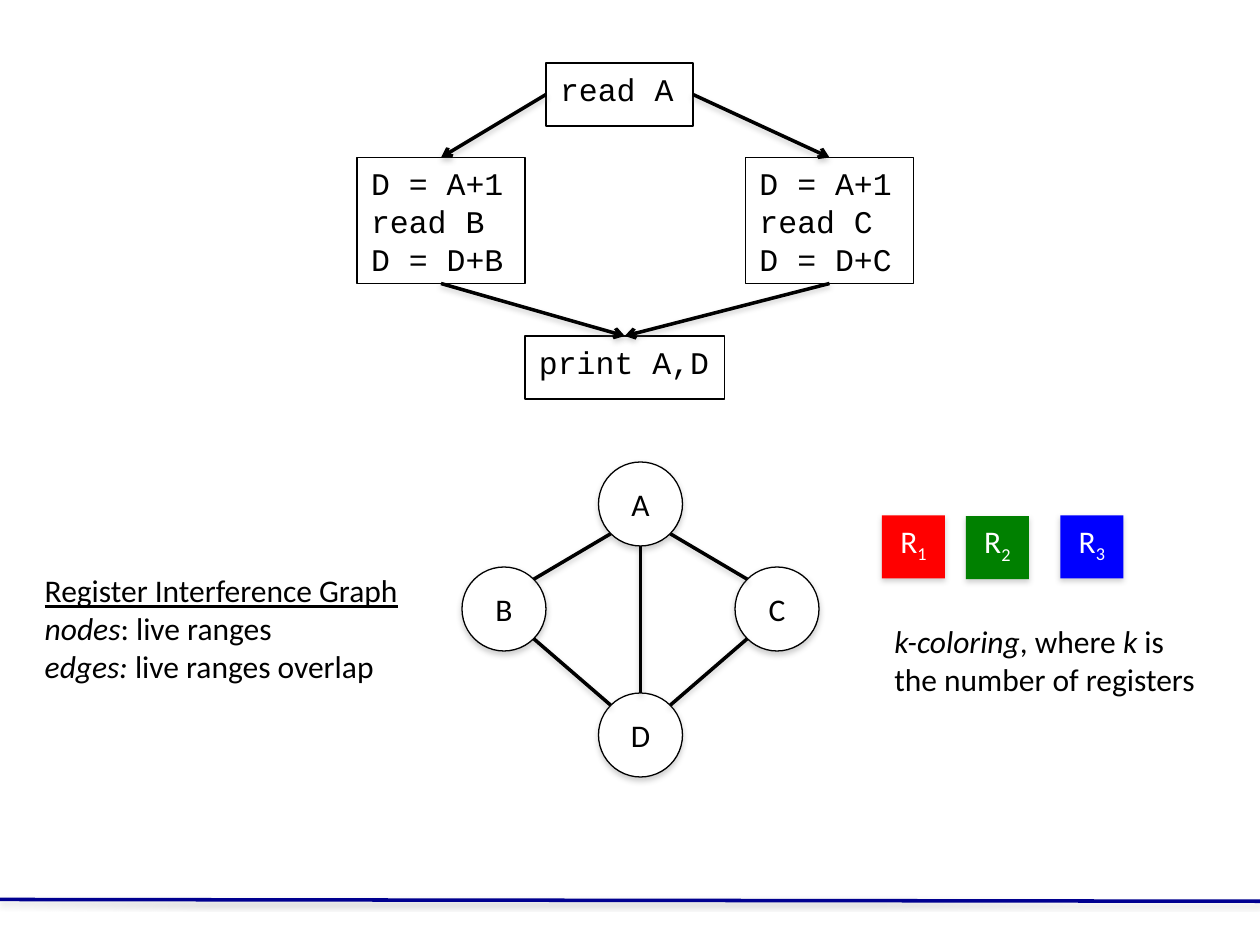
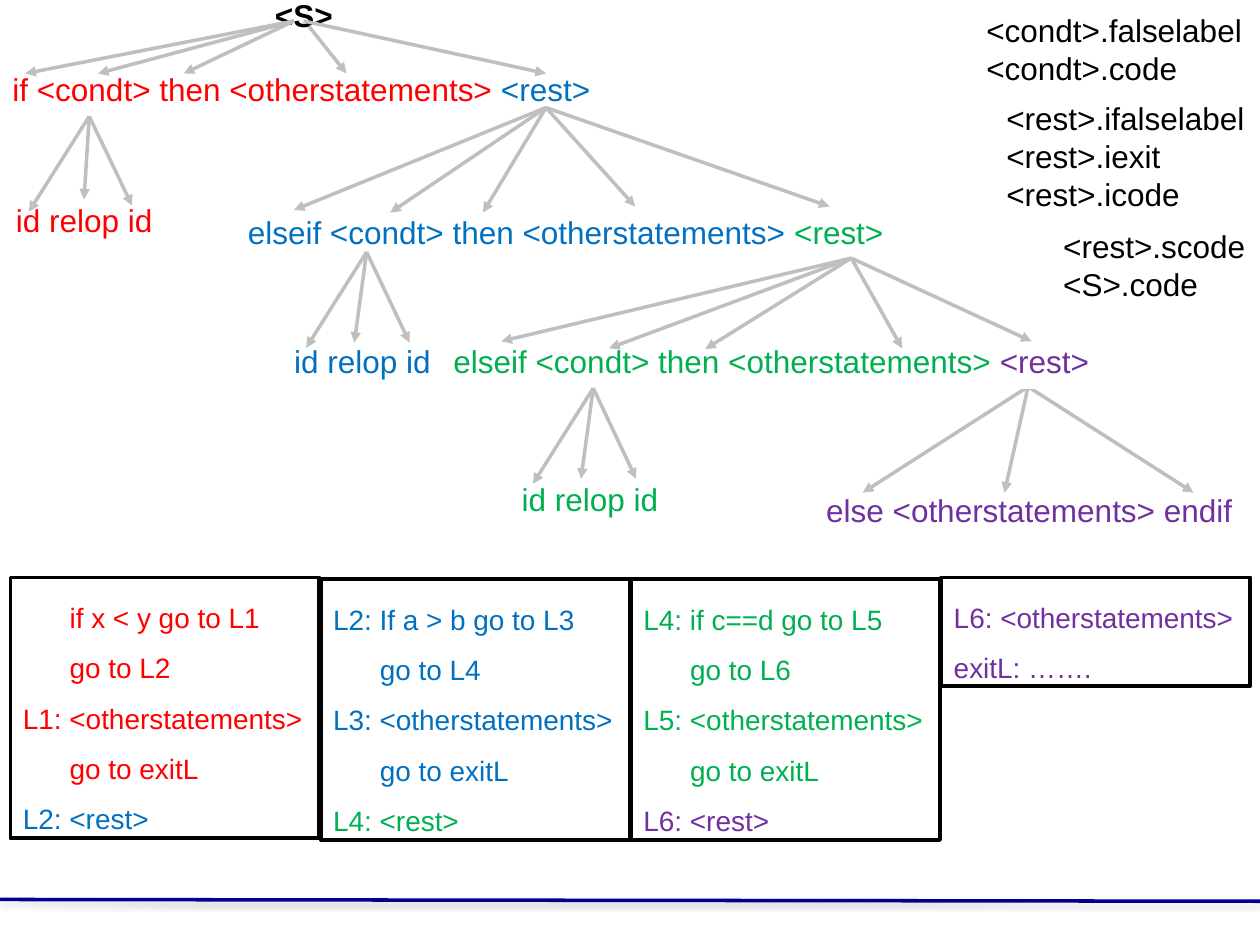
from pptx import Presentation
from pptx.dml.color import RGBColor
from pptx.enum import shapes, text
from pptx.oxml import parse_xml
from pptx.oxml.ns import nsdecls, qn
from pptx.util import Pt

RECT, OVAL = shapes.MSO_SHAPE.RECTANGLE, shapes.MSO_SHAPE.OVAL
BLACK, WHITE, NAVY, GREY = "000000", "FFFFFF", "000090", "BFBFBF"
RED, BLUE, GREEN, PURPLE = "FF0000", "0070C0", "00B050", "7030A0"
hex_color = RGBColor.from_string

NO_SHADOW = f"<a:effectLst {nsdecls('a')}/>"
SHADOW = (f"<a:effectLst {nsdecls('a')}>"
          '<a:outerShdw blurRad="40000" dist="21500" dir="5400000" rotWithShape="0">'
          '<a:srgbClr val="808080"><a:alpha val="36000"/></a:srgbClr>'
          "</a:outerShdw></a:effectLst>")


def add_text(s, kind, box, paras, fill=None, line=None, weight=1, shadow=False,
             grow=False, insets=(7.2, 3.6), anchor="TOP", align="LEFT", spacing=None, **fmt):
    """Add a shape (a text box if kind is None) holding paragraphs.

    A paragraph is a string or a list of (text, format) runs; its indent and
    space before are taken from the format of its first run.
    """
    box = [Pt(v) for v in box]
    sp = s.shapes.add_shape(kind, *box) if kind else s.shapes.add_textbox(*box)
    if fill:
        sp.fill.solid()
        sp.fill.fore_color.rgb = hex_color(fill)
    else:
        sp.fill.background()
    if line:
        sp.line.color.rgb = hex_color(line)
        sp.line.width = Pt(weight)
    else:
        sp.line.fill.background()
    sp.element.spPr.append(parse_xml(SHADOW if shadow else NO_SHADOW))

    tf = sp.text_frame
    tf.word_wrap = not grow
    tf.auto_size = text.MSO_AUTO_SIZE.SHAPE_TO_FIT_TEXT if grow else text.MSO_AUTO_SIZE.NONE
    tf.vertical_anchor = text.MSO_ANCHOR[anchor]
    tf.margin_left = tf.margin_right = Pt(insets[0])
    tf.margin_top = tf.margin_bottom = Pt(insets[1])
    for i, para in enumerate(paras):
        p = tf.paragraphs[0] if i == 0 else tf.add_paragraph()
        p.alignment = text.PP_ALIGN[align]
        if spacing:
            p.line_spacing = spacing
        runs = [(para, {})] if isinstance(para, str) else para
        first = runs[0][1]
        if "indent" in first:
            p._p.get_or_add_pPr().set("marL", str(Pt(first["indent"])))
        if "before" in first:
            p.space_before = Pt(first["before"])
        for words, own in runs:
            f = {"size": 18, "font": "Arial", "color": BLACK, **fmt, **own}
            r = p.add_run()
            r.text = words
            r.font.size, r.font.name = Pt(f["size"]), f["font"]
            r.font.color.rgb = hex_color(f["color"])
            r.font.bold = f.get("bold")
            r.font.italic = f.get("italic")
            r.font.underline = f.get("underline")
            if "base" in f:
                r.font._element.set("baseline", str(f["base"] * 1000))
    return sp


def add_line(s, start, end, color=BLACK, head=None, shadow=True):
    c = s.shapes.add_connector(shapes.MSO_CONNECTOR.STRAIGHT, *[Pt(v) for v in (*start, *end)])
    c.line.color.rgb = hex_color(color)
    c.line.width = Pt(2)
    if head:
        ln = c.element.spPr.find(qn("a:ln"))
        ln.append(parse_xml(f'<a:tailEnd {nsdecls("a")} type="{head}"/>'))
    c.element.spPr.append(parse_xml(SHADOW if shadow else NO_SHADOW))
    return c


prs = Presentation()
prs.slide_width, prs.slide_height = Pt(720), Pt(540)
layout = prs.slide_layouts[6]

# Slide 1: flow graph and register interference graph
s = prs.slides.add_slide(layout)
footer_rule = add_line(s, (0, 514), (720, 515), NAVY)
layout.shapes.element.append(footer_rule.element)  # shared by both slides

blocks = {}
for name, box, code in [
    ("read", (312, 36, 84, 36), ["read A"]),
    ("left", (204, 90, 96, 72), ["D = A+1", "read B", "D = D+B"]),
    ("right", (426, 90, 96, 72), ["D = A+1", "read C", "D = D+C"]),
    ("print", (300, 192, 114, 36), ["print A,D"]),
]:
    blocks[name] = add_text(s, RECT, box, code, fill=WHITE, line=BLACK,
                            insets=(8, 4), font="Courier New")
for tail, side, tip in [("read", 1, "left"), ("read", 3, "right"),
                        ("left", 2, "print"), ("right", 2, "print")]:
    c = add_line(s, (0, 0), (0, 0), head="arrow")
    c.begin_connect(blocks[tail], side)
    c.end_connect(blocks[tip], 0)

nodes = {"A": (366, 288), "B": (288, 348), "C": (444, 348), "D": (366, 420)}
radius, diagonal = 24, 17
for name, (x, y) in nodes.items():
    add_text(s, OVAL, (x - radius, y - radius, 2 * radius, 2 * radius), [name],
             fill=WHITE, line=BLACK, weight=0.75, shadow=True,
             anchor="MIDDLE", align="CENTER", font="Calibri")
for upper, lower in ["AB", "BD", "AC", "CD", "AD"]:
    (x1, y1), (x2, y2) = nodes[upper], nodes[lower]
    if x1 == x2:
        add_line(s, (x1, y1 + radius), (x2, y2 - radius))
    else:
        dx = diagonal if x2 > x1 else -diagonal
        add_line(s, (x1 + dx, y1 + diagonal), (x2 - dx, y2 - diagonal))

italic = {"italic": True}
add_text(s, None, (18.5, 323, 222, 73), [
    [("Register Interference Graph", {"underline": True})],
    [("nodes", italic), (": live ranges", {})],
    [("edges: ", italic), ("live ranges overlap", {})],
], grow=True, font="Calibri")
for number, x, y, color in [("1", 504, 294.5, "FF0000"), ("2", 552, 295, "008000"),
                            ("3", 606, 294.5, "0000FF")]:
    add_text(s, RECT, (x, y, 36, 36), [[("R", {}), (number, {"base": -25})]],
             fill=color, shadow=True, align="CENTER", font="Calibri", color=WHITE)
add_text(s, None, (504, 352, 189, 51), [
    [("k-coloring", italic), (", where ", {}), ("k", italic), (" is", {})],
    "the number of registers",
], grow=True, font="Calibri")

# Slide 2: parse tree and the code generated for it
s = prs.slides.add_slide(layout)

step = {"indent": 26.7}
rest = "<rest>"
columns = [
    (330, 149, RED, [[("if x < y go to L1", step)], [("go to L2", step)],
                     "L1: <otherstatements>", [("go to exitL", step)],
                     [("L2: <rest>", {"color": BLUE})]]),
    (331, 149, BLUE, ["L2: If a > b go to L3", [("go to L4", step)],
                      "L3: <otherstatements>", [("go to exitL", step)],
                      [("L4: <rest>", {"color": GREEN})]]),
    (331, 149, GREEN, ["L4: if c==d go to L5", [("go to L6", step)],
                       "L5: <otherstatements>", [("go to exitL", step)],
                       [("L6: <rest>", {"color": PURPLE})]]),
    (330, 62, PURPLE, ["L6: <otherstatements>", "exitL: ……."]),
]
for i, (y, height, color, code) in enumerate(columns):
    add_text(s, RECT, (6 + 177.3 * i, y, 176.5, height), code, line=BLACK, weight=2.25,
             grow=True, spacing=1.5, size=16, color=color)

# Each label with its colour, lines and the fans of arrows (start, tips) leading to it
elseif = "elseif <condt> then <otherstatements> "
relop = [[("id relop id", {"indent": 5})]]
relop_tips = [(-34.5, 54.7), (24.5, 51.8), (-7, 51.8)]
blue_condt, green_condt = (209.5, 144), (339, 221.8)
tree = [
    ((0, -6, 348, 73), RED,
     [[("<S>", {"indent": 150, "bold": True, "color": BLACK})],
      [("if <condt> then <otherstatements> ", {"before": 20.7}), (rest, {"color": BLUE})]],
     [((168, 12), [(14.5, 42), (56, 42), (105, 42)]),
      ((173.5, 12), [(312, 42)]),
      ((176.5, 15), [(198, 42)])]),
    ((465, 277, 248.5, 29), PURPLE, ["else <otherstatements> endif"],
     [((587.5, 221), [(682, 281.5), (574, 281.5), (493, 281.5)])]),
    ((134.5, 118, 381, 29), BLUE, [[(elseif, {}), (rest, {"color": GREEN})]],
     [((312, 61.5), [(474, 118), (168, 120), (223, 121.5), (363, 118), (276, 121.5)])]),
    ((2, 111.5, 93.5, 29), RED, ["id relop id"],
     [((51, 66.5), [(16.5, 121), (75.5, 117.5), (48, 114)])]),
    ((156, 192, 98.5, 29), BLUE, relop,
     [(blue_condt, [(blue_condt[0] + dx, blue_condt[1] + dy) for dx, dy in relop_tips])]),
    ((252, 192, 381, 29), GREEN, [[(elseif, {}), (rest, {"color": PURPLE})]],
     [((486.5, 147.5), [(589.5, 195), (286.5, 195), (348, 199), (515.5, 199), (403, 199.5)])]),
    ((286, 270.5, 98.5, 29), GREEN, relop,
     [(green_condt, [(green_condt[0] + dx, green_condt[1] + dy) for dx, dy in relop_tips])]),
]
for box, color, label, fans in tree:
    add_text(s, RECT, box, label, line=WHITE, weight=2.25, grow=True, color=color)
    for start, tips in fans:
        for tip in tips:
            add_line(s, start, tip, GREY, head="triangle", shadow=False)

for box, attributes in [
    ((556.5, 3, 162, 51), ["<condt>.falselabel", "<condt>.code"]),
    ((568, 53, 152, 73), ["<rest>.ifalselabel", "<rest>.iexit", "<rest>.icode"]),
    ((600.5, 126, 119.5, 51), ["<rest>.scode", "<S>.code"]),
]:
    add_text(s, None, box, attributes, grow=True)

prs.save("out.pptx")
